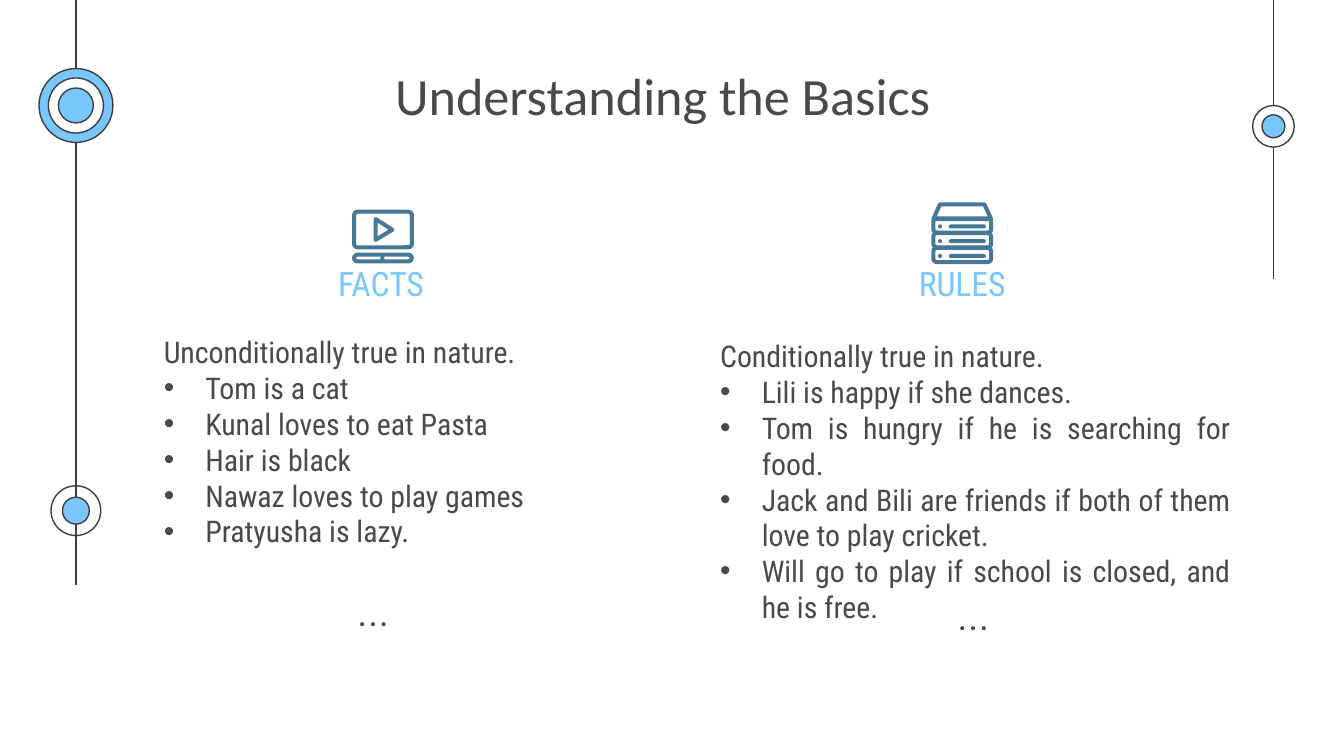
from dataclasses import dataclass

from lxml.etree import SubElement
from pptx import Presentation
from pptx.dml.color import RGBColor
from pptx.enum.shapes import MSO_CONNECTOR, MSO_SHAPE
from pptx.enum.text import MSO_ANCHOR, MSO_AUTO_SIZE, PP_ALIGN
from pptx.oxml.ns import qn
from pptx.util import Emu, Pt

PX = 4572  # EMU per px, 200 px to the inch


@dataclass(frozen=True)
class Theme:
    ink: str = "494949"
    line: str = "3D3D3D"
    accent: str = "77C6FC"
    icon: str = "477797"
    paper: str = "FFFFFF"
    title_font: str = "Calibri"
    body_font: str = "Roboto Condensed"
    title_size: int = 28
    heading_size: int = 18
    body_size: int = 16
    thin: float = 0.75
    icon_stroke: int = 6  # px


THEME = Theme()


def px(value):
    return Emu(round(value * PX))


def rgb(color):
    return RGBColor.from_string(color)


def paint(shape, fill=None, line=None, width=0):
    shape.shadow.inherit = False
    if fill:
        shape.fill.solid()
        shape.fill.fore_color.rgb = rgb(fill)
    else:
        shape.fill.background()
    if line:
        shape.line.color.rgb = rgb(line)
        shape.line.width = width
    else:
        shape.line.fill.background()


def add_rail(slide, x, bottom):
    """Vertical line hanging from the top edge."""
    rail = slide.shapes.add_connector(
        MSO_CONNECTOR.STRAIGHT, px(x), px(0), px(x), px(bottom))
    rail.line.color.rgb = rgb(THEME.line)
    rail.line.width = Pt(THEME.thin)
    SubElement(rail._element.spPr, qn("a:effectLst"))


def add_rings(slide, x, y, rings):
    """Concentric circles, given as (diameter, fill) from outside in."""
    for diameter, fill in rings:
        ring = slide.shapes.add_shape(
            MSO_SHAPE.OVAL, px(x - diameter / 2), px(y - diameter / 2),
            px(diameter), px(diameter))
        paint(ring, fill, THEME.line, Pt(THEME.thin))


def add_dot(slide, x, y, color):
    dot = slide.shapes.add_shape(MSO_SHAPE.OVAL, px(x), px(y), px(6), px(6))
    paint(dot, color)


def add_ellipsis(slide, x, y):
    for step in range(3):
        add_dot(slide, x + 16 * step, y, THEME.ink)


def add_rounded_frame(slide, x, y, width, height):
    """Rounded outline whose stroke stays inside the given box."""
    stroke = THEME.icon_stroke
    frame = slide.shapes.add_shape(
        MSO_SHAPE.ROUNDED_RECTANGLE, px(x + stroke / 2), px(y + stroke / 2),
        px(width - stroke), px(height - stroke))
    frame.adjustments[0] = min(0.5, 5 / (height - stroke))
    paint(frame, line=THEME.icon, width=px(stroke))


def add_bar(slide, x, y, width, height):
    bar = slide.shapes.add_shape(
        MSO_SHAPE.ROUNDED_RECTANGLE, px(x), px(y), px(width), px(height))
    bar.adjustments[0] = 0.5
    paint(bar, THEME.icon)


def add_outline(slide, points):
    builder = slide.shapes.build_freeform(*points[0], scale=PX)
    builder.add_line_segments(points[1:], close=True)
    paint(builder.convert_to_shape(), line=THEME.icon,
          width=px(THEME.icon_stroke))


def add_video_icon(slide):
    add_rounded_frame(slide, 524, 312, 92, 59)
    add_rounded_frame(slide, 524, 376, 92, 16)
    add_bar(slide, 566, 379, 6, 10)
    add_outline(slide, [(559, 326), (584, 342), (559, 357)])


def add_server_icon(slide):
    add_outline(slide, [(1389, 326), (1399, 304), (1465, 304), (1475, 326)])
    for shelf in range(3):
        top = 322 + 22 * shelf
        add_rounded_frame(slide, 1386, top, 92, 27)
        add_dot(slide, 1396, top + 12, THEME.icon)
        add_bar(slide, 1412, top + 12, 55, 6)


def prepare_frame(shape):
    frame = shape.text_frame
    frame.word_wrap = True
    frame.auto_size = MSO_AUTO_SIZE.NONE
    frame.vertical_anchor = MSO_ANCHOR.TOP
    frame.margin_left = frame.margin_right = px(20)
    frame.margin_top = frame.margin_bottom = px(20)
    return frame


def write(paragraph, text, font, size, color, align):
    paragraph.alignment = align
    run = paragraph.add_run()
    run.text = text
    run.font.name = font
    run.font.size = Pt(size)
    run.font.color.rgb = rgb(color)


def add_title(slide, text):
    title = slide.shapes.title
    title.left, title.top = px(376), px(74)
    title.width, title.height = px(1220), px(130)
    write(prepare_frame(title).paragraphs[0], text, THEME.title_font,
          THEME.title_size, THEME.ink, PP_ALIGN.CENTER)


def add_heading(slide, x, text):
    box = slide.shapes.add_textbox(px(x), px(372), px(386), px(72))
    write(prepare_frame(box).paragraphs[0], text, THEME.body_font,
          THEME.heading_size, THEME.accent, PP_ALIGN.CENTER)


def set_bullet(paragraph):
    properties = paragraph._p.get_or_add_pPr()
    properties.set("marL", str(px(62)))
    properties.set("indent", str(px(-62)))
    color = SubElement(properties, qn("a:buClr"))
    SubElement(color, qn("a:srgbClr"), val=THEME.ink)
    SubElement(properties, qn("a:buFont"), typeface="Arial")
    SubElement(properties, qn("a:buChar"), char="•")


def add_bullets(slide, x, y, width, height, intro, items):
    box = slide.shapes.add_textbox(px(x), px(y), px(width), px(height))
    frame = prepare_frame(box)
    style = (THEME.body_font, THEME.body_size, THEME.ink, PP_ALIGN.JUSTIFY)
    write(frame.paragraphs[0], intro, *style)
    for item in items:
        paragraph = frame.add_paragraph()
        write(paragraph, item, *style)
        set_bullet(paragraph)


def main():
    deck = Presentation()
    deck.slide_width, deck.slide_height = px(2000), px(1125)
    slide = deck.slides.add_slide(deck.slide_layouts[5])
    slide.background.fill.solid()
    slide.background.fill.fore_color.rgb = rgb(THEME.paper)

    add_rail(slide, 113, 870)
    add_rail(slide, 1895, 415)
    add_rings(slide, 113, 760, [(74, None), (40, THEME.accent)])
    add_rings(slide, 1895, 188, [(62, THEME.paper), (34, THEME.accent)])
    add_rings(slide, 113, 157, [(110, THEME.accent), (82, THEME.paper),
                                (52, THEME.accent)])
    add_ellipsis(slide, 536, 926)
    add_ellipsis(slide, 1429, 932)

    add_title(slide, "Understanding the Basics")
    add_heading(slide, 374, "FACTS")
    add_heading(slide, 1239, "RULES")
    add_bullets(slide, 224, 477, 758, 398, "Unconditionally true in nature.", [
        "Tom is a cat",
        "Kunal loves to eat Pasta",
        "Hair is black",
        "Nawaz loves to play games",
        "Pratyusha is lazy.",
    ])
    add_bullets(slide, 1052, 483, 799, 368, "Conditionally true in nature.", [
        "Lili is happy if she dances.",
        "Tom is hungry if he is searching for food.",
        "Jack and Bili are friends if both of them love to play cricket.",
        "Will go to play if school is closed, and he is free.",
    ])
    add_video_icon(slide)
    add_server_icon(slide)
    deck.save("out.pptx")


if __name__ == "__main__":
    main()
